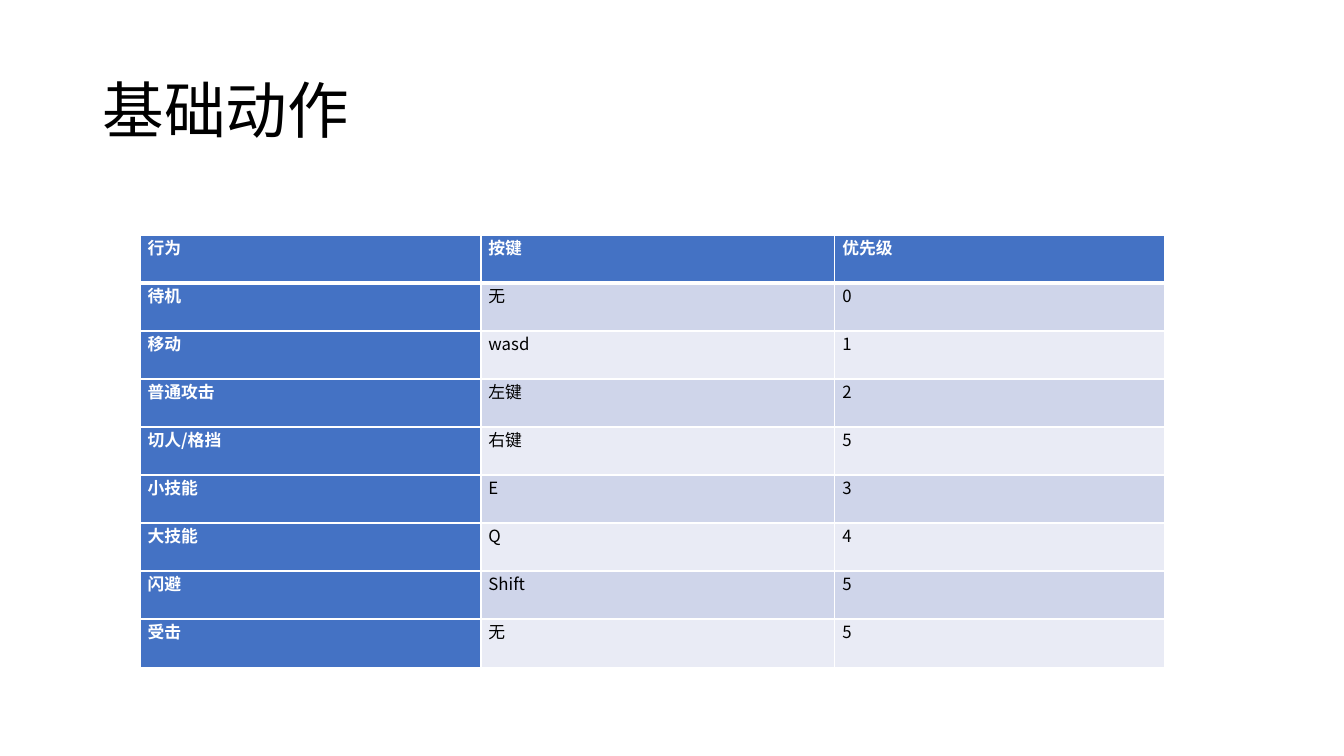
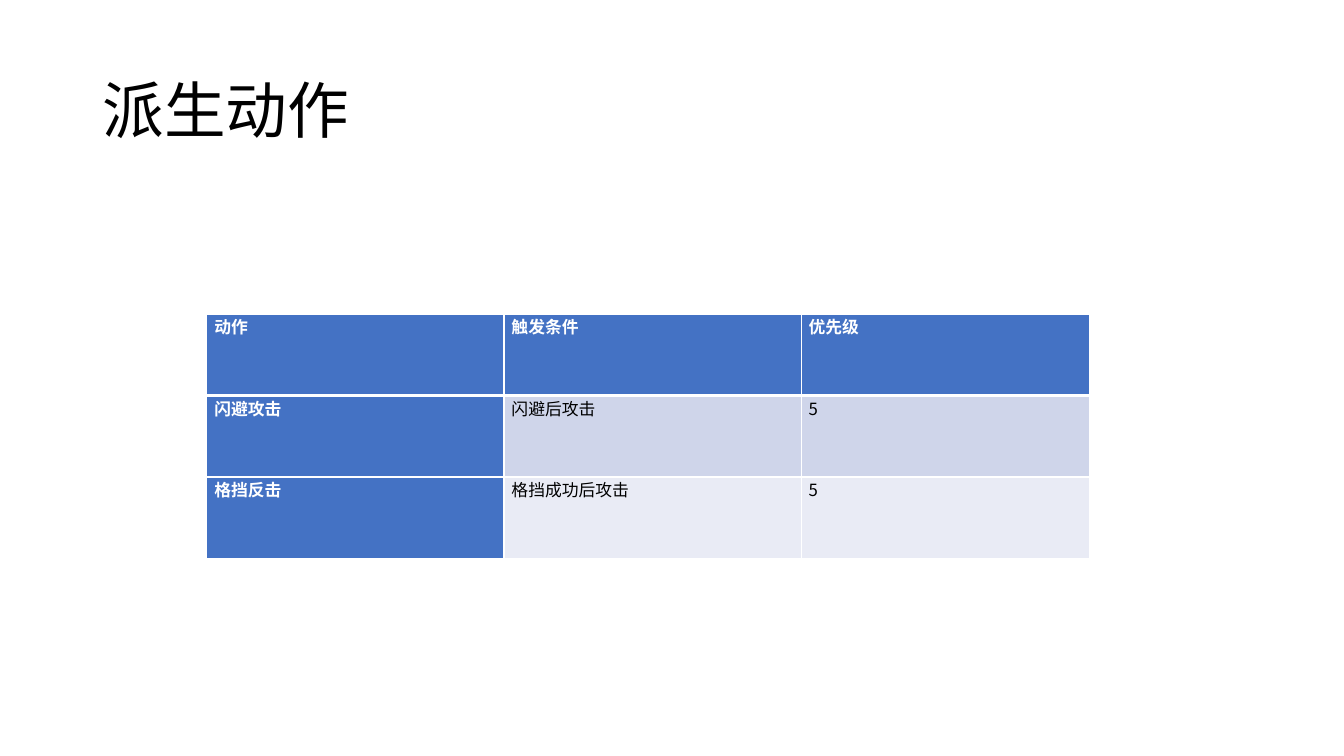
"""Build two slides that list character actions in tables."""
from pptx import Presentation
from pptx.dml.color import RGBColor
from pptx.enum import text as t
from pptx.oxml import parse_xml
from pptx.oxml import ns
from pptx.util import Cm, Pt

FONT = "Noto Sans CJK SC"
BLACK, WHITE, BLUE = "000000", "FFFFFF", "4472C4"
BANDS = ["CFD5EA", "E9EBF5"]


def write(frame, text, size, color, bold=False, spacing=1.0):
    para = frame.paragraphs[0]
    para.alignment = t.PP_ALIGN.LEFT
    para.line_spacing = spacing
    span = para.add_run()
    span.text = text
    span.font.name = FONT
    span.font.size = Pt(size)
    span.font.bold = bold
    span.font.color.rgb = RGBColor.from_string(color)
    east_asian = f'<a:ea {ns.nsdecls("a")} typeface="{FONT}"/>'
    span.font._element.append(parse_xml(east_asian))


def add_border(cell, side, width):
    cell._tc.get_or_add_tcPr().append(parse_xml(
        f'<a:ln{side} {ns.nsdecls("a")} w="{Pt(width)}"><a:solidFill>'
        f'<a:srgbClr val="{WHITE}"/></a:solidFill></a:ln{side}>'))


slides = [
    ("基础动作", (3.53, 5.92), (8.59, 8.92, 8.31), 1.21, [
        ("行为", "按键", "优先级"),
        ("待机", "无", "0"),
        ("移动", "wasd", "1"),
        ("普通攻击", "左键", "2"),
        ("切人/格挡", "右键", "5"),
        ("小技能", "E", "3"),
        ("大技能", "Q", "4"),
        ("闪避", "Shift", "5"),
        ("受击", "无", "5"),
    ]),
    ("派生动作", (5.21, 7.92), (7.49, 7.49, 7.26), 2.05, [
        ("动作", "触发条件", "优先级"),
        ("闪避攻击", "闪避后攻击", "5"),
        ("格挡反击", "格挡成功后攻击", "5"),
    ]),
]

deck = Presentation()
deck.slide_width, deck.slide_height = Cm(33.87), Cm(19.05)

for heading, (left, top), widths, row_height, rows in slides:
    page = deck.slides.add_slide(deck.slide_layouts[5])
    title = page.shapes.title
    title.left, title.top = Cm(2.33), Cm(1.01)
    title.width, title.height = Cm(29.21), Cm(3.68)
    title.text_frame.auto_size = t.MSO_AUTO_SIZE.NONE
    title.text_frame.vertical_anchor = t.MSO_ANCHOR.MIDDLE
    write(title.text_frame, heading, 44, BLACK, spacing=0.9)

    table = page.shapes.add_table(
        len(rows), len(widths), Cm(left), Cm(top),
        Cm(sum(widths)), Cm(row_height * len(rows))).table
    table.first_col = True
    for column, width in zip(table.columns, widths):
        column.width = Cm(width)
    for r, values in enumerate(rows):
        table.rows[r].height = Cm(row_height)
        for c, value in enumerate(values):
            cell = table.cell(r, c)
            cell.margin_left = cell.margin_right = Cm(0.19)
            cell.margin_top = cell.margin_bottom = 0
            cell.vertical_anchor = t.MSO_ANCHOR.TOP
            add_border(cell, "L", 1)
            add_border(cell, "R", 1)
            add_border(cell, "T", 3 if r == 1 else 1)
            add_border(cell, "B", 3 if r == 0 else 1)
            is_header = r == 0 or c == 0
            cell.fill.solid()
            cell.fill.fore_color.rgb = RGBColor.from_string(
                BLUE if is_header else BANDS[(r - 1) % 2])
            write(cell.text_frame, value, 12,
                  WHITE if is_header else BLACK, bold=is_header)

deck.save("out.pptx")
